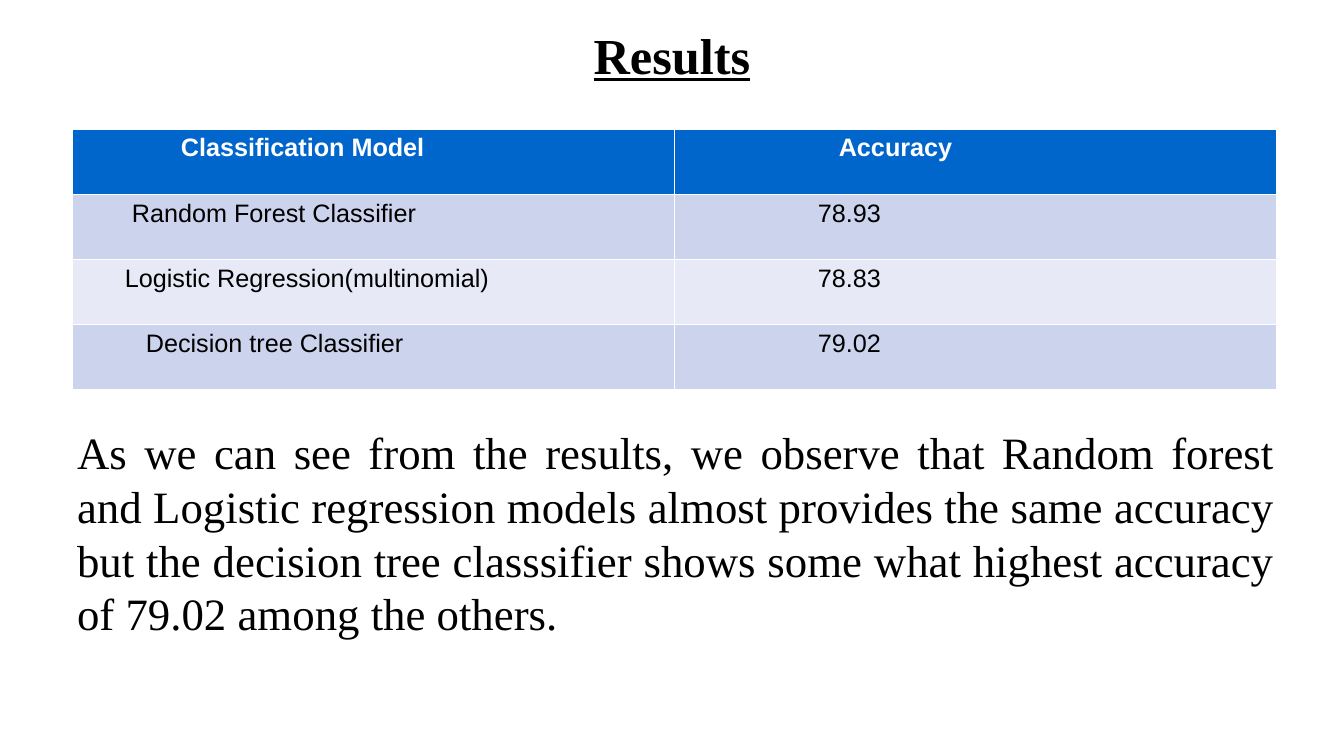
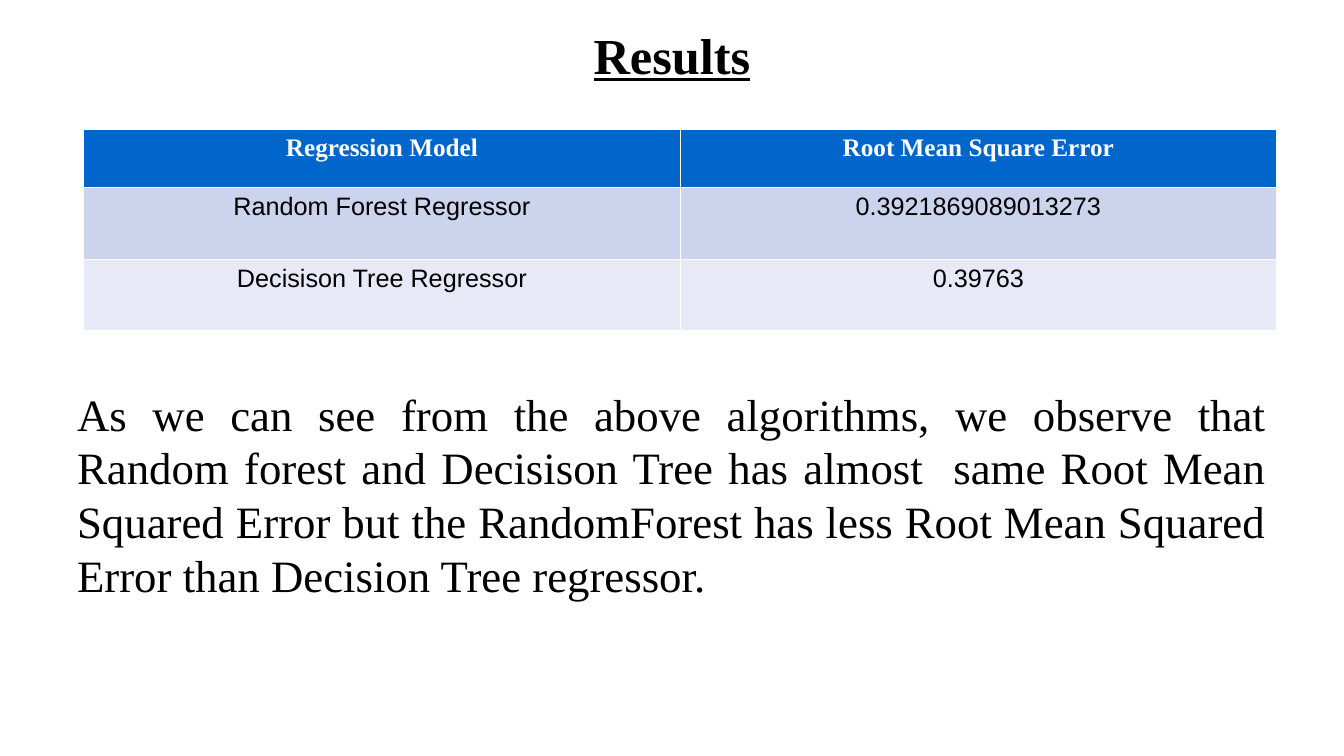
from dataclasses import dataclass

from pptx import Presentation
from pptx.dml.color import RGBColor
from pptx.enum.text import MSO_ANCHOR, PP_ALIGN
from pptx.slide import Slide
from pptx.util import Pt

WHITE = RGBColor(0xFF, 0xFF, 0xFF)
BLACK = RGBColor(0x00, 0x00, 0x00)
BLUE = RGBColor(0x00, 0x66, 0xCC)
BANDS = (RGBColor(0xCC, 0xD3, 0xEC), RGBColor(0xE7, 0xEA, 0xF6))
SERIF, SANS = "Times New Roman", "Arial"
LEFT, CENTER, JUSTIFY = PP_ALIGN.LEFT, PP_ALIGN.CENTER, PP_ALIGN.JUSTIFY
MIDDLE, TOP = MSO_ANCHOR.MIDDLE, MSO_ANCHOR.TOP
BLANK = 6
EDGE = 48  # left edge of title and body
PAD = 7.2  # side margin of text


@dataclass
class Item:
    text: str
    indent: float = 0


@dataclass
class Grid:
    left: float
    col: float
    heights: list[float]
    rows: list[tuple[Item, Item]]
    align: PP_ALIGN
    head_font: str


@dataclass
class Page:
    grid: Grid
    body: str
    body_top: float
    body_width: float


PAGES = [
    Page(
        Grid(52, 430, [46.6] * 4, [
            (Item("Classification Model", 70), Item("Accuracy", 110)),
            (Item("Random Forest Classifier", 35), Item("78.93", 95)),
            (Item("Logistic Regression(multinomial)", 30), Item("78.83", 95)),
            (Item("Decision tree Classifier", 45), Item("79.02", 95)),
        ], LEFT, SANS),
        "As we can see from the results, we observe that Random forest and "
        "Logistic regression models almost provides the same accuracy but the "
        "decision tree classsifier shows some what highest accuracy of 79.02 "
        "among the others.",
        303.5, 870),
    Page(
        Grid(59.8, 426, [41.8, 51.2, 51.2], [
            (Item("Regression Model"), Item("Root Mean Square Error")),
            (Item("Random Forest Regressor"), Item("0.3921869089013273")),
            (Item("Decisison Tree Regressor"), Item("0.39763")),
        ], CENTER, SERIF),
        "As we can see from the above algorithms, we observe that Random "
        "forest and Decisison Tree has almost  same Root Mean Squared Error "
        "but the RandomForest has less Root Mean Squared Error than Decision "
        "Tree regressor.",
        276, 864),
]


def style(para, name: str, size: float, color: RGBColor, bold: bool,
          align: PP_ALIGN) -> None:
    para.alignment = align
    font = para.font
    font.name, font.size, font.bold = name, Pt(size), bold
    font.color.rgb = color


def add_text(slide: Slide, text: str, top: float, width: float, height: float,
             size: float, bold: bool, align: PP_ALIGN, anchor: MSO_ANCHOR):
    """Add a serif text box at the common left edge; return its paragraph."""
    box = slide.shapes.add_textbox(Pt(EDGE), Pt(top), Pt(width), Pt(height))
    frame = box.text_frame
    frame.word_wrap = True
    frame.vertical_anchor = anchor
    frame.margin_left = frame.margin_right = Pt(PAD)
    frame.margin_top = frame.margin_bottom = 0
    para = frame.paragraphs[0]
    para.text = text
    style(para, SERIF, size, BLACK, bold, align)
    return para


def add_grid(slide: Slide, grid: Grid) -> None:
    count = len(grid.rows[0])
    table = slide.shapes.add_table(
        len(grid.rows), count, Pt(grid.left), Pt(92.2),
        Pt(grid.col * count), Pt(sum(grid.heights))).table
    for col in table.columns:
        col.width = Pt(grid.col)
    for r, (height, items) in enumerate(zip(grid.heights, grid.rows)):
        table.rows[r].height = Pt(height)
        head = r == 0
        for c, item in enumerate(items):
            cell = table.cell(r, c)
            cell.fill.solid()
            cell.fill.fore_color.rgb = BLUE if head else BANDS[(r - 1) % 2]
            cell.margin_left = Pt(PAD + item.indent)
            cell.text = item.text
            style(cell.text_frame.paragraphs[0],
                  grid.head_font if head else SANS, 18,
                  WHITE if head else BLACK, head, grid.align)


def add_page(deck, page: Page) -> None:
    slide = deck.slides.add_slide(deck.slide_layouts[BLANK])
    title = add_text(slide, "Results", 15.5, 864, 46, 36, True, CENTER, MIDDLE)
    title.font.underline = True
    body = add_text(slide, page.body, page.body_top, page.body_width, 160,
                    32, False, JUSTIFY, TOP)
    body.line_spacing = Pt(38.4)
    add_grid(slide, page.grid)


def main() -> None:
    deck = Presentation()
    deck.slide_width, deck.slide_height = Pt(960), Pt(540)
    for page in PAGES:
        add_page(deck, page)
    deck.save("out.pptx")


if __name__ == "__main__":
    main()
